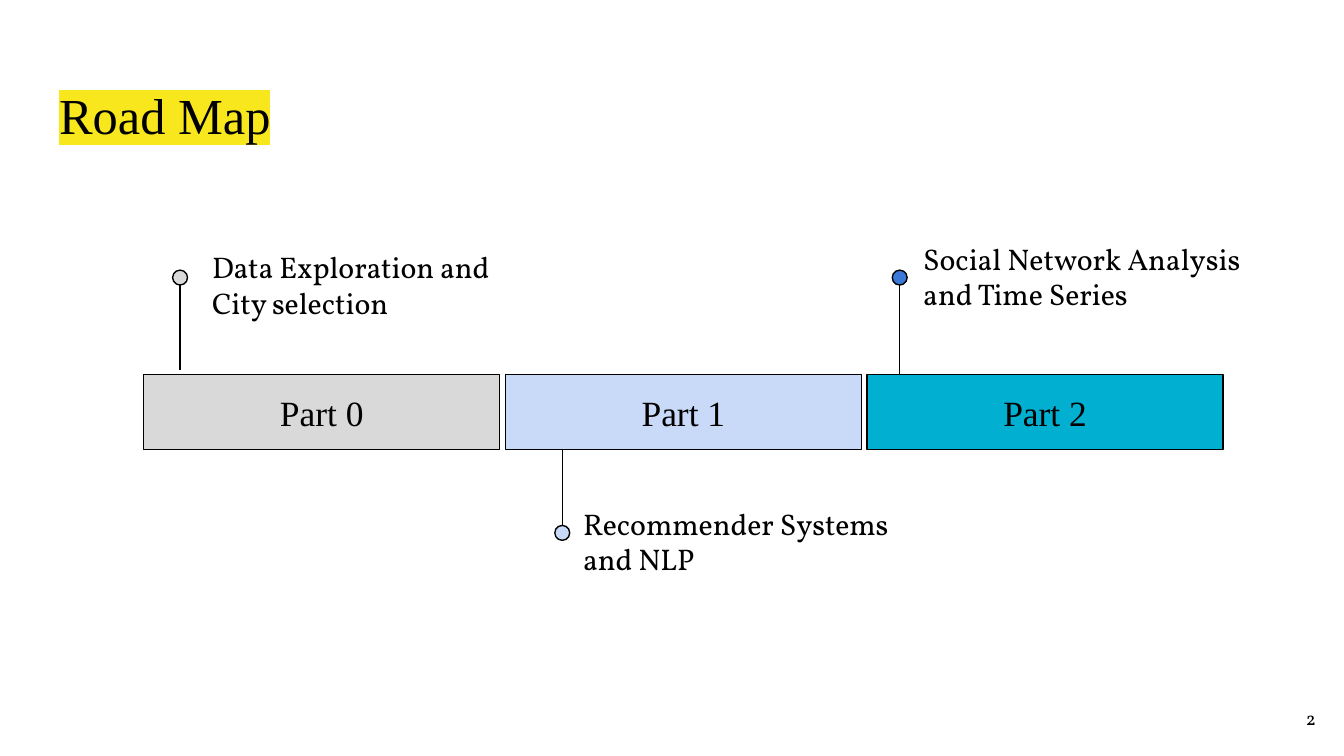
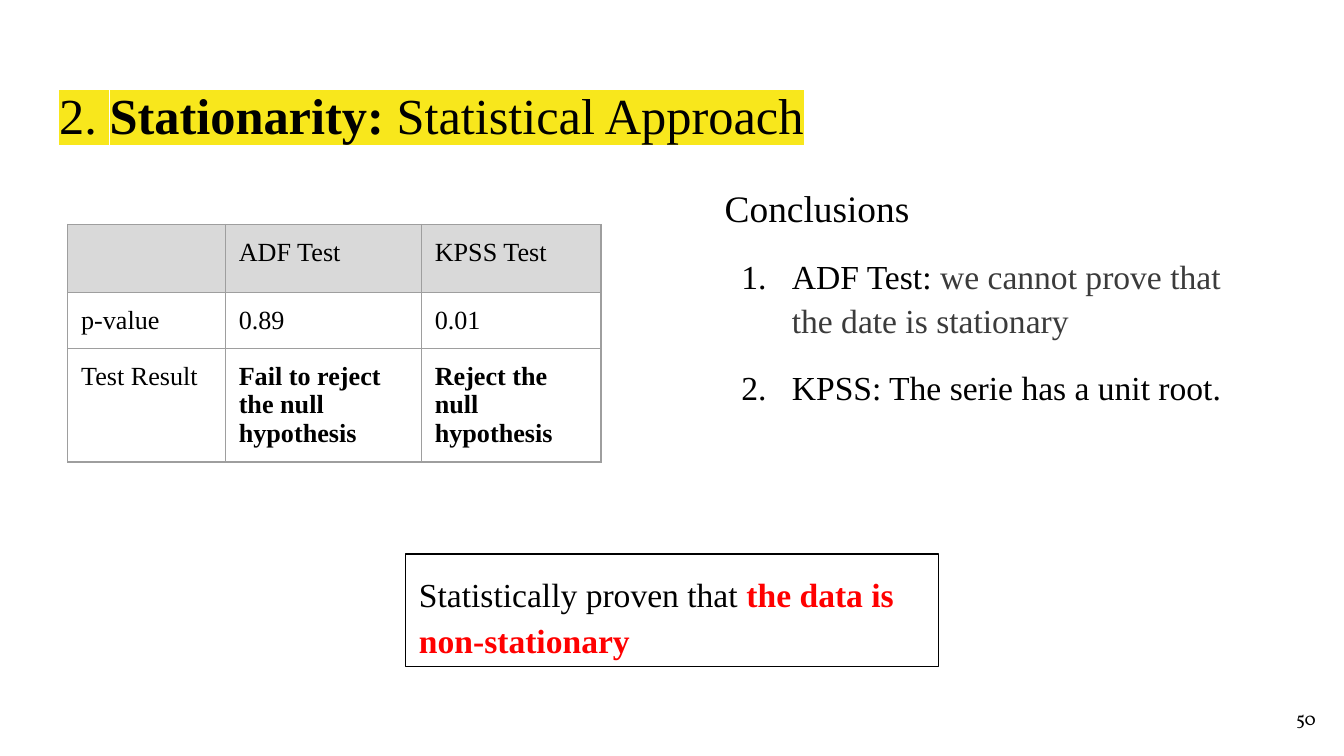
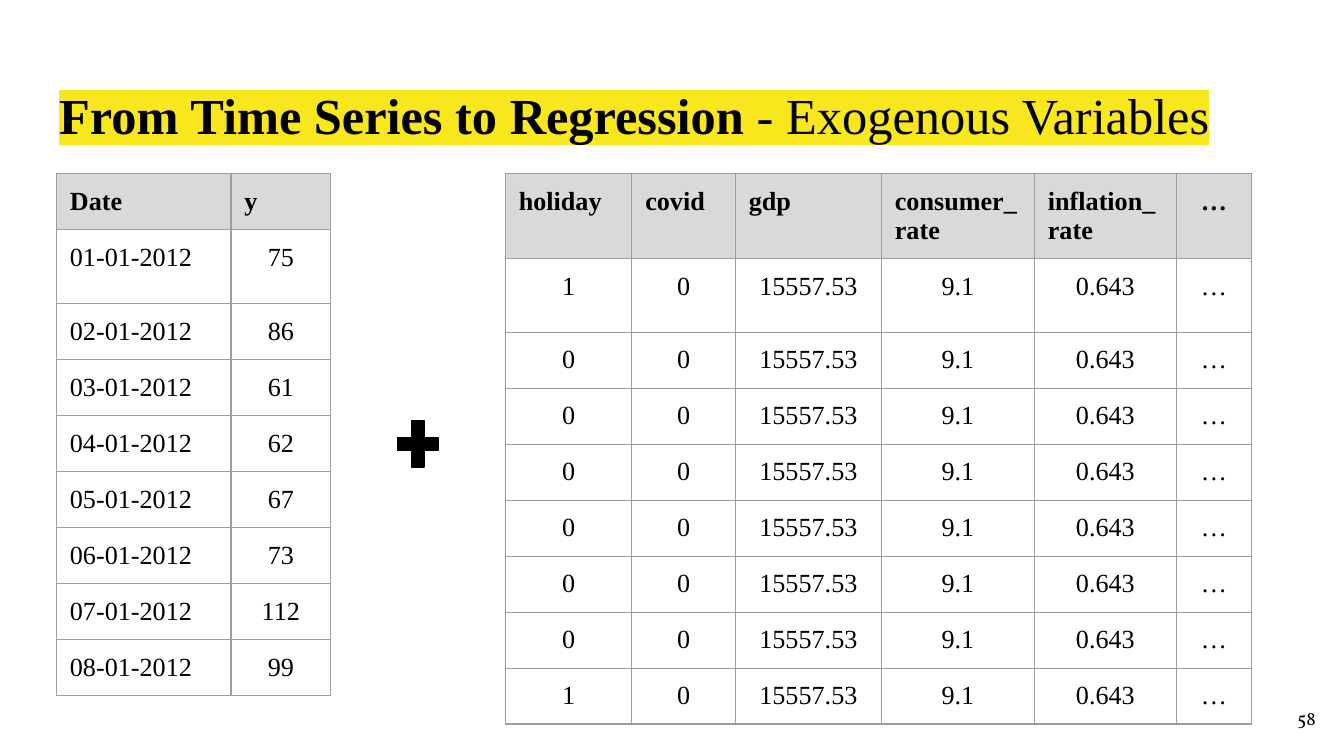
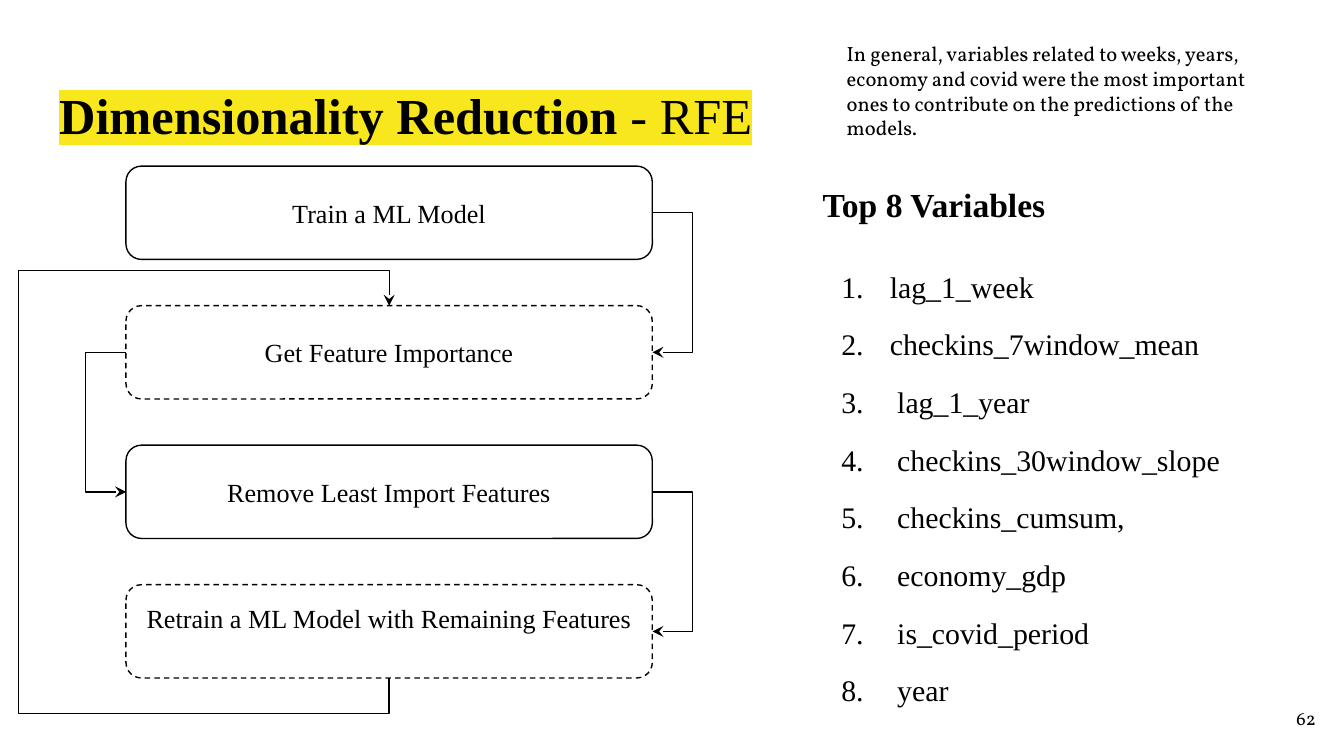
"""Build four slides on a time series project: road map, stationarity, regression data and RFE."""
from lxml import etree
from pptx import Presentation
from pptx.dml.color import RGBColor
from pptx.enum import dml, shapes, text
from pptx.oxml import ns
from pptx.util import Pt

SERIF, VOLLKORN = "Times New Roman", "Vollkorn"
BLACK, WHITE, GREY, BORDER = "000000", "FFFFFF", "D9D9D9", "9E9E9E"
YELLOW, PALE_BLUE, CYAN, BLUE = "F8E71C", "C9DAF8", "01AFD1", "3C78D8"
RED, CHARCOAL = "FF0000", "3B3B3B"
INSET, LINE_WIDTH = 7.2, 0.75
LEFT, CENTER, RIGHT = text.PP_ALIGN.LEFT, text.PP_ALIGN.CENTER, text.PP_ALIGN.RIGHT
TOP, MIDDLE = text.MSO_ANCHOR.TOP, text.MSO_ANCHOR.MIDDLE
SHAPE = shapes.MSO_SHAPE
TITLE_AND_BODY, TWO_BODIES, TITLE_ONLY = 1, 3, 5


def color(hex_code):
    return RGBColor.from_string(hex_code)


def sub(parent, tag, **attributes):
    return etree.SubElement(parent, ns.qn(tag), **attributes)


def place(item, left, top, width, height):
    item.left, item.top, item.width, item.height = map(Pt, (left, top, width, height))


def outline(item, dash=None):
    item.line.color.rgb = color(BLACK)
    item.line.width = Pt(LINE_WIDTH)
    if dash:
        item.line.dash_style = dash


def set_frame(frame, anchor=TOP, margin_top=INSET):
    frame.word_wrap = True
    frame.auto_size = text.MSO_AUTO_SIZE.NONE
    frame.vertical_anchor = anchor
    frame.margin_left = frame.margin_right = frame.margin_bottom = Pt(INSET)
    frame.margin_top = Pt(margin_top)


def write(paragraph, runs, size, font=SERIF, align=LEFT, before=0, after=0, spacing=1.0):
    """Fill a paragraph from a string or from (words, hex colour, bold) runs."""
    if isinstance(runs, str):
        runs = [(runs, BLACK, False)]
    paragraph.alignment = align
    paragraph.space_before, paragraph.space_after = Pt(before), Pt(after)
    paragraph.line_spacing = spacing
    for words, hex_code, bold in runs:
        run = paragraph.add_run()
        run.text = words
        run.font.name, run.font.size, run.font.bold = font, Pt(size), bold
        run.font.color.rgb = color(hex_code)


def set_bullet(paragraph, numbered, indent=0):
    properties = paragraph._p.get_or_add_pPr()
    properties.set("marL", str(Pt(36 if numbered else 0)))
    properties.set("indent", str(Pt(-indent)))
    if numbered:
        sub(sub(properties, "a:buClr"), "a:srgbClr", val=BLACK)
        sub(properties, "a:buAutoNum", type="arabicPeriod")
    else:
        sub(properties, "a:buNone")


def add_slide(deck, layout, number, title_runs):
    """Add a slide with a highlighted title and its page number."""
    slide = deck.slides.add_slide(deck.slide_layouts[layout])
    title = slide.shapes.title
    place(title, 24.5, 35.3, 671, 45.4)
    set_frame(title.text_frame, margin_top=9.75)
    paragraph = title.text_frame.paragraphs[0]
    write(paragraph, [(words, BLACK, bold) for words, bold in title_runs], 27)
    for run in paragraph.runs:
        highlight = etree.Element(ns.qn("a:highlight"))
        sub(highlight, "a:srgbClr", val=YELLOW)
        run._r.rPr.find(ns.qn("a:latin")).addprevious(highlight)
    add_text(slide, (669, 369.4, 43, 31), str(number), 10, RIGHT, MIDDLE)
    return slide


def add_text(slide, bounds, words, size, align=LEFT, anchor=TOP):
    box = slide.shapes.add_textbox(*map(Pt, bounds))
    set_frame(box.text_frame, anchor)
    write(box.text_frame.paragraphs[0], words, size, VOLLKORN, align)


def add_block(slide, kind, bounds, fill=None, words="", size=14, anchor=MIDDLE, dash=None):
    block = slide.shapes.add_shape(kind, *map(Pt, bounds))
    block.shadow.inherit = False
    if fill:
        block.fill.solid()
        block.fill.fore_color.rgb = color(fill)
    else:
        block.fill.background()
    outline(block, dash)
    if words:
        set_frame(block.text_frame, anchor)
        write(block.text_frame.paragraphs[0], words, size, align=CENTER)
    return block


def add_line(slide, kind, start, end, arrow=False):
    line = slide.shapes.add_connector(kind, *map(Pt, (*start, *end)))
    outline(line)
    if arrow:
        sub(line.line._get_or_add_ln(), "a:tailEnd", type="stealth")
    sub(line._element.spPr, "a:effectLst")
    return line


def add_elbow(slide, start, end, **bends):
    """Add a bent arrow whose bends are fractions of its own width."""
    arrow = add_line(slide, shapes.MSO_CONNECTOR.ELBOW, start, end, arrow=True)
    geometry = arrow._element.spPr.find(ns.qn("a:prstGeom"))
    guides = geometry.find(ns.qn("a:avLst"))
    for name, ratio in bends.items():
        sub(guides, "a:gd", name=name, fmla=f"val {round(ratio * 100000)}")
    return arrow, geometry


def add_grid(slide, corner, widths, heights, rows, centred, bold):
    """Add a bordered table; centred and bold are tests on (row, column)."""
    bounds = (*corner, sum(widths), sum(heights))
    grid = slide.shapes.add_table(len(rows), len(widths), *map(Pt, bounds)).table
    grid.first_row = grid.horz_banding = False
    for column, width in zip(grid.columns, widths):
        column.width = Pt(width)
    for row, height in zip(grid.rows, heights):
        row.height = Pt(height)
    for r, values in enumerate(rows):
        for c, value in enumerate(values):
            cell = grid.cell(r, c)
            cell.margin_left = cell.margin_right = Pt(INSET)
            cell.margin_top = cell.margin_bottom = Pt(INSET)
            for side in "LRTB":
                edge = sub(cell._tc.get_or_add_tcPr(), f"a:ln{side}", w=str(Pt(LINE_WIDTH)))
                sub(sub(edge, "a:solidFill"), "a:srgbClr", val=BORDER)
            if r == 0:
                cell.fill.solid()
                cell.fill.fore_color.rgb = color(GREY)
            else:
                cell.fill.background()
            if value:
                align = CENTER if centred(r, c) else LEFT
                write(cell.text_frame.paragraphs[0], [(value, BLACK, bold(r, c))], 14, align=align)


def build_road_map(deck):
    slide = add_slide(deck, TITLE_ONLY, 2, [("Road Map", False)])
    for part, fill in enumerate((GREY, PALE_BLUE, CYAN)):
        bounds = (77 + 193.75 * part, 200.75, 190.75, 40.25)
        add_block(slide, SHAPE.RECTANGLE, bounds, fill, f"Part {part}", 19)
    milestones = [
        (96.5, 198, 148.75, GREY, (106.5, 126), "Data Exploration and City selection"),
        (301.25, 241, 285.5, PALE_BLUE, (305.25, 263.5), "Recommender Systems and NLP"),
        (482, 200.75, 148.75, BLUE, (487.5, 121.5), "Social Network Analysis and Time Series"),
    ]
    for x, bar_edge, dot_y, fill, corner, caption in milestones:
        add_line(slide, shapes.MSO_CONNECTOR.STRAIGHT, (x, bar_edge), (x, dot_y))
        add_block(slide, SHAPE.OVAL, (x - 4, dot_y - 4, 8, 8), fill)
        add_text(slide, (*corner, 190.75, 53.25), caption, 16)


def build_stationarity(deck):
    slide = add_slide(deck, TWO_BODIES, 50, [
        ("2. ", False), ("Stationarity:", True), (" Statistical Approach", False)])
    add_grid(slide, (36.25, 120.25), (84.5, 105, 96.25), (32.4, 30, 30), [
        ("", "ADF Test", "KPSS Test"),
        ("p-value", "0.89", "0.01"),
        ("Test Result", "Fail to reject the null hypothesis", "Reject the null hypothesis"),
    ], centred=lambda r, c: False, bold=lambda r, c: r == 2 and c > 0)

    conclusions, verdict = slide.placeholders[1], slide.placeholders[2]
    place(conclusions, 381, 90, 289.5, 224.5)
    frame = conclusions.text_frame
    set_frame(frame)
    set_bullet(frame.paragraphs[0], numbered=False)
    write(frame.paragraphs[0], "Conclusions", 20, spacing=1.09)
    findings = [
        [("ADF Test: ", BLACK, False),
         ("we cannot prove that the date is stationary", CHARCOAL, False)],
        "KPSS: The serie has a unit root.",
    ]
    for finding in findings:
        paragraph = frame.add_paragraph()
        set_bullet(paragraph, numbered=True, indent=27)
        write(paragraph, finding, 18, before=12, spacing=1.09)

    place(verdict, 217.25, 296.75, 285.5, 60.5)
    verdict.fill.solid()
    verdict.fill.fore_color.rgb = color(WHITE)
    outline(verdict)
    set_frame(verdict.text_frame)
    set_bullet(verdict.text_frame.paragraphs[0], numbered=False)
    write(verdict.text_frame.paragraphs[0], [
        ("Statistically proven that", BLACK, False),
        (" the data is non-stationary", RED, True)], 18, spacing=1.15)


def build_regression(deck):
    slide = add_slide(deck, TITLE_ONLY, 58, [
        ("From Time Series to Regression", True), (" - Exogenous Variables", False)])
    visits = (75, 86, 61, 62, 67, 73, 112, 99)
    holidays = (1, 0, 0, 0, 0, 0, 0, 1)
    heights = [30, 39.6] + [30] * 7
    series = [("Date", "y")]
    series += [(f"{day:02}-01-2012", str(y)) for day, y in enumerate(visits, 1)]
    exogenous = [("holiday", "covid", "gdp", "consumer_rate", "inflation_rate", "…")]
    exogenous += [(str(flag), "0", "15557.53", "9.1", "0.643", "…") for flag in holidays]
    add_grid(slide, (30.25, 93), (93.5, 53.5), heights, series,
             centred=lambda r, c: r > 0 and c == 1, bold=lambda r, c: r == 0)
    add_grid(slide, (270.75, 93), (67.75, 55.5, 78.25, 82, 76, 40.25), heights, exogenous,
             centred=lambda r, c: r > 0 or c == 5, bold=lambda r, c: r == 0)
    plus = add_block(slide, SHAPE.MATH_PLUS, (209, 221, 29.5, 33.75), BLACK)
    plus.adjustments[0] = 0.235


def build_rfe(deck):
    slide = add_slide(deck, TITLE_AND_BODY, 62, [
        ("Dimensionality Reduction", True), (" - RFE", False)])
    left, first_top, width, height, pitch = 67.5, 89, 282, 50, 74.75
    right, center = left + width, left + width / 2
    steps = [
        ("Train a ML Model", None, MIDDLE),
        ("Get Feature Importance", dml.MSO_LINE.DASH, MIDDLE),
        ("Remove Least Import Features", None, MIDDLE),
        ("Retrain a ML Model with Remaining Features", dml.MSO_LINE.DASH, TOP),
    ]
    tops = [first_top + pitch * i for i in range(len(steps))]
    for (words, dash, anchor), top in zip(steps, tops):
        add_block(slide, SHAPE.ROUNDED_RECTANGLE, (left, top, width, height),
                  words=words, anchor=anchor, dash=dash)

    sliver, reach = 0.05, 19
    for i, (x, side) in enumerate(((right, 1), (left, -1), (right, 1))):
        start, end = tops[i] + height / 2, tops[i + 1] + height / 2
        add_elbow(slide, (x, start), (x + sliver, end), adj1=side * reach / sliver)

    loop_bottom = tops[3] + height
    length, middle = loop_bottom - tops[1], (loop_bottom + tops[1]) / 2
    loop, geometry = add_elbow(
        slide, (center - length / 2, middle), (center + length / 2, middle + sliver),
        adj1=-reach / length, adj2=-175 / sliver, adj3=1 + reach / length)
    geometry.set("prst", "bentConnector5")
    loop._element.spPr.find(ns.qn("a:xfrm")).set("rot", str(270 * 60000))

    ranking = slide.placeholders[1]
    place(ranking, 433.5, 89.25, 249, 306.75)
    frame = ranking.text_frame
    set_frame(frame)
    set_bullet(frame.paragraphs[0], numbered=False)
    write(frame.paragraphs[0], [("Top 8 Variables", BLACK, True)], 18, spacing=1.09)
    variables = ("lag_1_week", "checkins_7window_mean", " lag_1_year", " checkins_30window_slope",
                 " checkins_cumsum,", " economy_gdp", " is_covid_period", " year")
    for rank, variable in enumerate(variables):
        paragraph = frame.add_paragraph()
        set_bullet(paragraph, numbered=True, indent=26)
        write(paragraph, variable, 16, before=10 if rank else 22, spacing=1.09)
    add_text(slide, (446.5, 15, 249, 49.75),
             "In general, variables related to weeks, years, economy and covid were the most "
             "important ones to contribute on the predictions of the models.", 11)


def main():
    deck = Presentation()
    deck.slide_width, deck.slide_height = Pt(720), Pt(405)
    build_road_map(deck)
    build_stationarity(deck)
    build_regression(deck)
    build_rfe(deck)
    deck.save("out.pptx")


if __name__ == "__main__":
    main()
